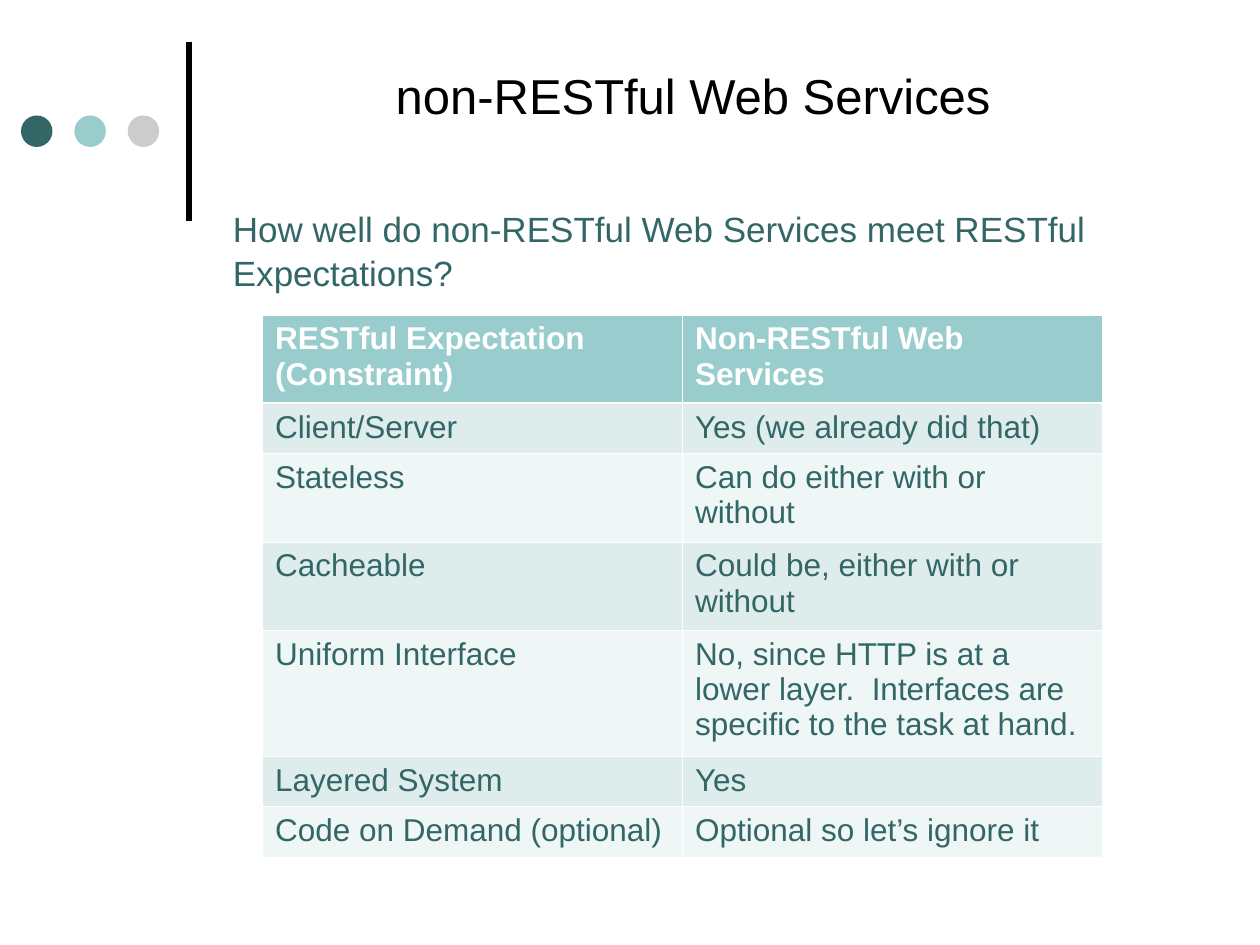
from dataclasses import dataclass

from lxml import etree
from pptx import Presentation
from pptx.dml.color import RGBColor
from pptx.enum.shapes import MSO_CONNECTOR, MSO_SHAPE
from pptx.enum.text import MSO_ANCHOR, PP_ALIGN
from pptx.oxml.ns import qn
from pptx.util import Inches, Length, Pt

STRAIGHT = MSO_CONNECTOR.STRAIGHT
OVAL = MSO_SHAPE.OVAL
TOP, MIDDLE = MSO_ANCHOR.TOP, MSO_ANCHOR.MIDDLE
LEFT, CENTER = PP_ALIGN.LEFT, PP_ALIGN.CENTER

BLACK = RGBColor(0x00, 0x00, 0x00)
WHITE = RGBColor(0xFF, 0xFF, 0xFF)
DARK_TEAL = RGBColor(0x33, 0x66, 0x66)
LIGHT_TEAL = RGBColor(0x99, 0xCC, 0xCC)
GRAY = RGBColor(0xCC, 0xCC, 0xCC)
ODD_BAND = RGBColor(0xDE, 0xEC, 0xEC)
EVEN_BAND = RGBColor(0xEF, 0xF6, 0xF6)

FONT = "Arial"
COLUMN = Inches(10) / 120
ROW = Inches(7.5) / 90
TEXT_ROW = Inches(0.1)
THIN, THICK = Pt(0.45), Pt(1.47)


@dataclass(frozen=True)
class TextBlock:
    text: str
    column: float
    row: float
    columns: float
    rows: float
    size: float
    color: RGBColor
    align: PP_ALIGN = LEFT
    anchor: MSO_ANCHOR = TOP
    spacing: float = 1.0


@dataclass(frozen=True)
class Constraint:
    expectation: str
    answer: str
    height: int


TITLE = TextBlock("non-RESTful Web Services", 16, 2, 100, 14, 28, BLACK, CENTER, MIDDLE)
QUESTION = TextBlock(
    "How well do non-RESTful Web Services meet RESTful Expectations?",
    21, 19, 90, 9.2, 20, DARK_TEAL, spacing=1.05,
)
CONSTRAINTS = [
    Constraint("RESTful Expectation (Constraint)", "Non-RESTful Web Services", 7),
    Constraint("Client/Server", "Yes (we already did that)", 4),
    Constraint("Stateless", "Can do either with or without", 7),
    Constraint("Cacheable", "Could be, either with or without", 7),
    Constraint(
        "Uniform Interface",
        "No, since HTTP is at a lower layer.  Interfaces are specific to the task at hand.",
        10,
    ),
    Constraint("Layered System", "Yes", 4),
    Constraint("Code on Demand (optional)", "Optional so let’s ignore it", 4),
]


def across(columns: float) -> Length:
    return Length(round(columns * COLUMN))


def down(rows: float) -> Length:
    return Length(round(rows * ROW))


def add_run(paragraph, text: str, size: float, color: RGBColor, bold: bool = False) -> None:
    run = paragraph.add_run()
    run.text = text
    run.font.name = FONT
    run.font.size = Pt(size)
    run.font.bold = bold
    run.font.color.rgb = color


def add_text(slide, block: TextBlock) -> None:
    box = slide.shapes.add_textbox(
        across(block.column), down(block.row), across(block.columns), down(block.rows)
    )
    frame = box.text_frame
    frame.word_wrap = True
    frame.vertical_anchor = block.anchor
    paragraph = frame.paragraphs[0]
    paragraph.alignment = block.align
    paragraph.line_spacing = block.spacing
    add_run(paragraph, block.text, block.size, block.color)


def add_divider(slide) -> None:
    divider = slide.shapes.add_connector(
        STRAIGHT, across(18), down(21), across(18), down(4)
    )
    divider.line.color.rgb = BLACK
    divider.line.width = Pt(3)
    etree.SubElement(divider._element.spPr, qn("a:effectLst"))


def add_dot(slide, column: float, color: RGBColor) -> None:
    dot = slide.shapes.add_shape(OVAL, across(column), down(11), across(3), down(3))
    dot.shadow.inherit = False
    dot.fill.solid()
    dot.fill.fore_color.rgb = color
    dot.line.fill.background()


def set_borders(cell, top: Length, bottom: Length) -> None:
    properties = cell._tc.get_or_add_tcPr()
    widths = {"a:lnL": THIN, "a:lnR": THIN, "a:lnT": top, "a:lnB": bottom}
    for position, (tag, width) in enumerate(widths.items()):
        border = etree.Element(qn(tag), w=str(int(width)))
        fill = etree.SubElement(border, qn("a:solidFill"))
        etree.SubElement(fill, qn("a:srgbClr"), val=str(WHITE))
        properties.insert(position, border)


def add_constraint_table(slide) -> None:
    total = sum(constraint.height for constraint in CONSTRAINTS)
    table = slide.shapes.add_table(
        len(CONSTRAINTS), 2, across(25), down(30), across(80), total * TEXT_ROW
    ).table
    for index, constraint in enumerate(CONSTRAINTS):
        header = index == 0
        band = LIGHT_TEAL if header else ODD_BAND if index % 2 else EVEN_BAND
        table.rows[index].height = constraint.height * TEXT_ROW
        for column, text in enumerate((constraint.expectation, constraint.answer)):
            cell = table.cell(index, column)
            cell.fill.solid()
            cell.fill.fore_color.rgb = band
            set_borders(cell, THICK if index == 1 else THIN, THICK if header else THIN)
            color = WHITE if header else DARK_TEAL
            add_run(cell.text_frame.paragraphs[0], text, 18, color, header)


def main() -> None:
    presentation = Presentation()
    presentation.slide_width = Inches(10)
    presentation.slide_height = Inches(7.5)
    slide = presentation.slides.add_slide(presentation.slide_layouts[6])
    add_divider(slide)
    for index, color in enumerate((DARK_TEAL, LIGHT_TEAL, GRAY)):
        add_dot(slide, 2 + index * 5.08, color)
    add_text(slide, TITLE)
    add_constraint_table(slide)
    add_text(slide, QUESTION)
    presentation.save("out.pptx")


if __name__ == "__main__":
    main()
